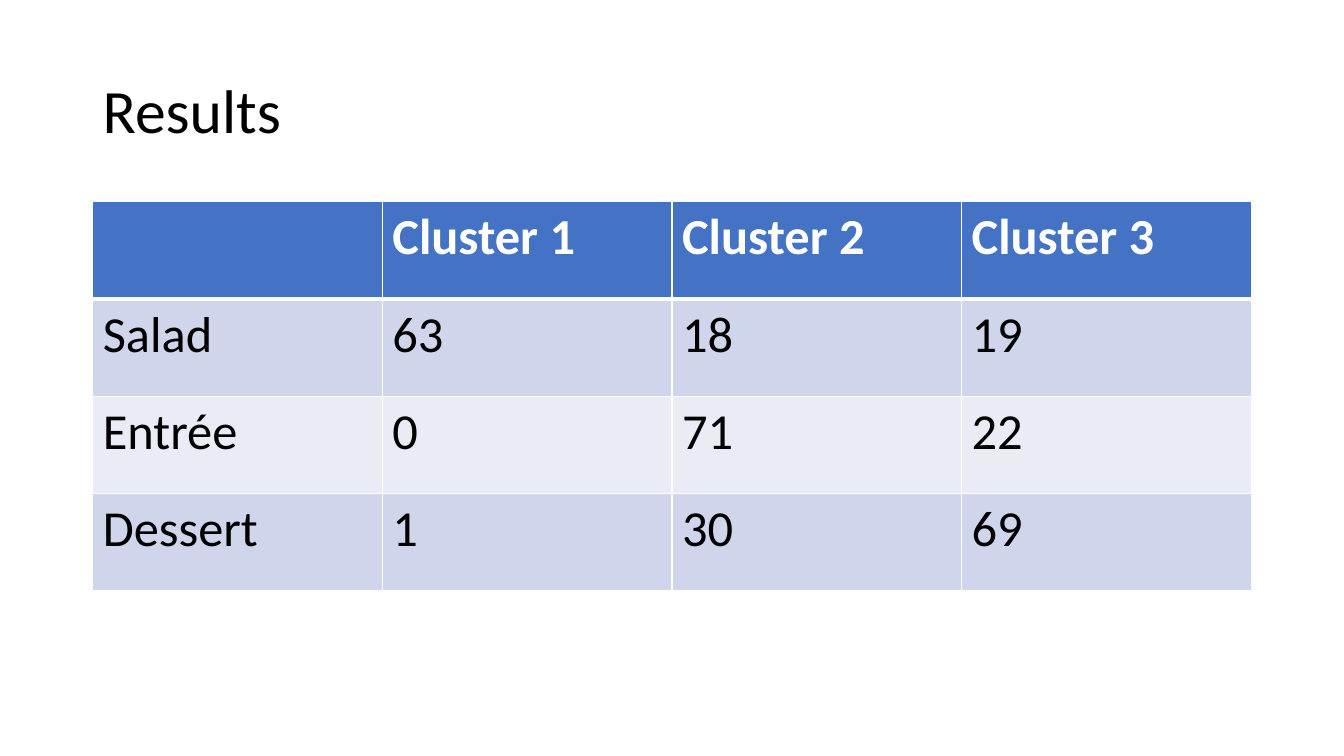
from pptx import Presentation
from pptx.dml.color import RGBColor as RGB
from pptx.enum.text import MSO_ANCHOR as Anchor
from pptx.oxml import parse_xml
from pptx.oxml.ns import nsdecls
from pptx.util import Inches, Pt

COLORS = {
    "text": "000000",
    "white": "FFFFFF",
    "header": "4472C4",
    "odd_row": "CFD5EA",
    "even_row": "E9EBF5",
}
FONT = "Calibri"
RESULTS = [
    ["", "Cluster 1", "Cluster 2", "Cluster 3"],
    ["Salad", "63", "18", "19"],
    ["Entrée", "0", "71", "22"],
    ["Dessert", "1", "30", "69"],
]


def add_text(tf, text, size, color="text", bold=False, spacing=1.0):
    p = tf.paragraphs[0]
    p.line_spacing = spacing
    r = p.add_run()
    r.text = text
    r.font.name, r.font.size, r.font.bold = FONT, Pt(size), bold
    r.font.color.rgb = RGB.from_string(COLORS[color])


def set_borders(cell, **widths):
    """Draw white cell edges; widths maps L, R, T, B to points."""
    tc_pr = cell._tc.get_or_add_tcPr()
    for i, (side, width) in enumerate(widths.items()):
        tc_pr.insert(i, parse_xml(
            f'<a:ln{side} {nsdecls("a")} w="{Pt(width)}"><a:solidFill>'
            f'<a:srgbClr val="{COLORS["white"]}"/></a:solidFill></a:ln{side}>'))


def add_title(s, box, text):
    tf = s.shapes.add_textbox(*box).text_frame
    tf.word_wrap = True
    tf.vertical_anchor = Anchor.MIDDLE
    add_text(tf, text, 44, spacing=0.9)


def add_results_table(s, box, rows):
    table = s.shapes.add_table(len(rows), len(rows[0]), *box).table
    for i, row in enumerate(rows):
        header = i == 0
        fill = "header" if header else "odd_row" if i % 2 else "even_row"
        for j, text in enumerate(row):
            cell = table.cell(i, j)
            cell.fill.solid()
            cell.fill.fore_color.rgb = RGB.from_string(COLORS[fill])
            # Thick rule between the header and the body
            set_borders(cell, L=1, R=1, T=3 if i == 1 else 1, B=3 if header else 1)
            if text:
                add_text(cell.text_frame, text, 36,
                         color="white" if header else "text", bold=header)


prs = Presentation()
prs.slide_width, prs.slide_height = Inches(13.33), Inches(7.5)
s = prs.slides.add_slide(prs.slide_layouts[6])


def share(x, y, w, h):
    """Turn shares of the slide's size into a box."""
    return (int(prs.slide_width * x), int(prs.slide_height * y),
            int(prs.slide_width * w), int(prs.slide_height * h))


# Title band and table share the same side margins
MARGIN = 0.069
WIDTH = 1 - 2 * MARGIN
add_title(s, share(MARGIN, 0.053, WIDTH, 0.193), "Results")
add_results_table(s, share(MARGIN, 0.267, WIDTH, 0.515), RESULTS)

prs.save("out.pptx")
